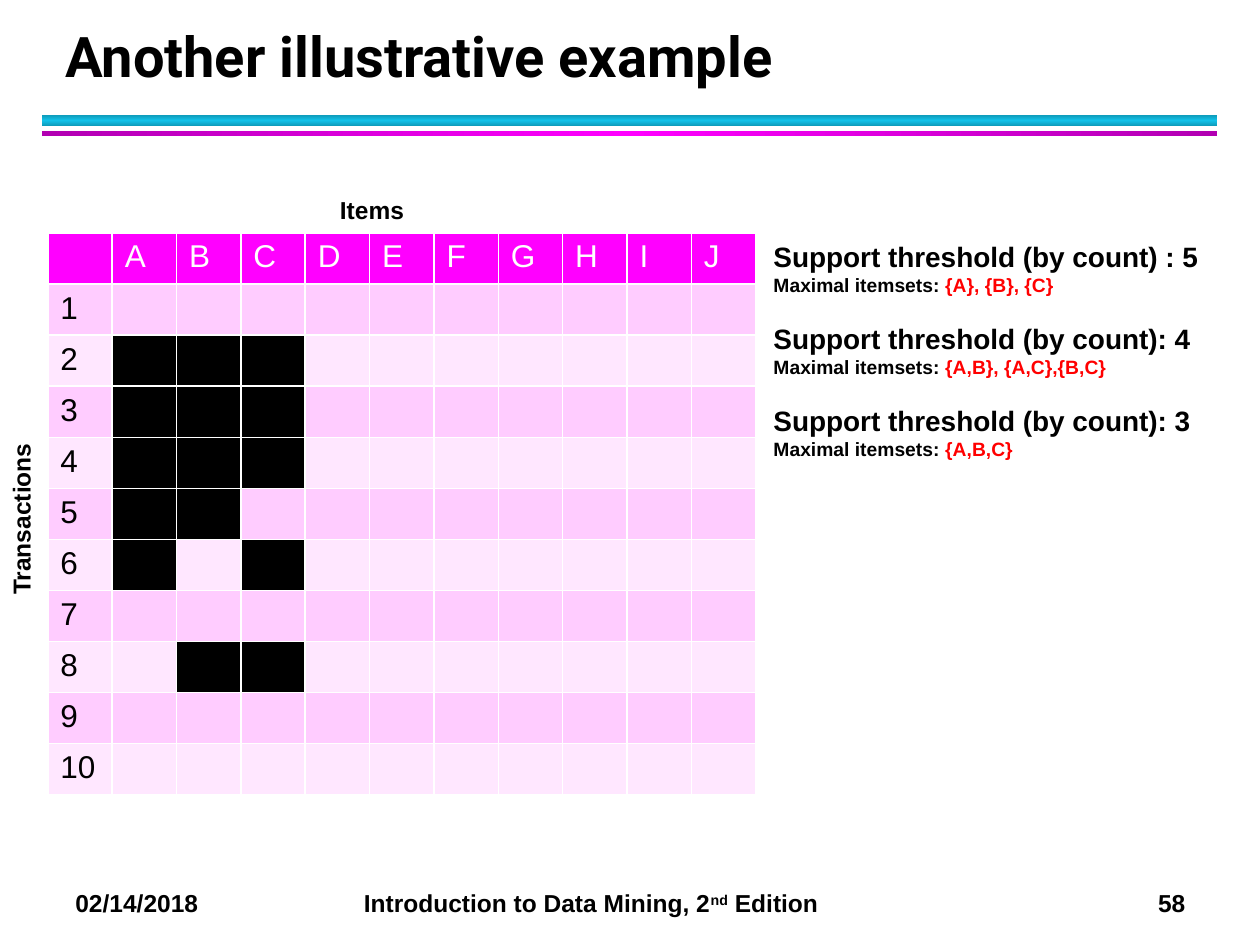
from copy import deepcopy
from dataclasses import dataclass

from lxml.etree import SubElement
from pptx import Presentation
from pptx.dml.color import RGBColor
from pptx.enum.shapes import MSO_SHAPE
from pptx.enum.text import MSO_ANCHOR
from pptx.oxml.ns import qn
from pptx.util import Inches, Pt

COLS, ROWS = 100, 75
CELL = Inches(0.1)


@dataclass(frozen=True)
class Theme:
    body: str = "Arial"
    heading: str = "Roboto"
    black: str = "000000"
    white: str = "FFFFFF"
    red: str = "FF0000"
    magenta: str = "FF00FF"
    bands: tuple = ("FFE7FF", "FFCCFF")
    cyan_bar: tuple = ("0E9BBA", "12C2E9", "0E9BBA")
    magenta_bar: tuple = ("B200B2", "FF00FF", "B200B2")
    title_size: int = 32
    table_size: int = 18
    support_size: int = 16
    label_size: int = 14
    detail_size: int = 11


T = Theme()


def grid(*lengths):
    return [round(n * CELL) for n in lengths]


def add_run(p, text, size, color=T.black, font=T.body, bold=True):
    r = p.add_run()
    r.text = text
    fmt = {"name": font, "size": Pt(size), "bold": bold}
    for name, value in fmt.items():
        setattr(r.font, name, value)
    r.font.color.rgb = RGBColor.from_string(color)
    return r


def add_text_box(s, box, wrap=False, anchor=MSO_ANCHOR.TOP):
    sp = s.shapes.add_textbox(*grid(*box))
    fmt = {"word_wrap": wrap, "vertical_anchor": anchor}
    for name, value in fmt.items():
        setattr(sp.text_frame, name, value)
    return sp


def add_title(s, box, text):
    p = add_text_box(s, box, True, MSO_ANCHOR.BOTTOM).text_frame.paragraphs[0]
    p.line_spacing = Pt(36)
    add_run(p, text, T.title_size, font=T.heading)


def add_rule(s, box, colors, angle):
    """Draw a bar with a three-stop gradient."""
    sp = s.shapes.add_shape(MSO_SHAPE.RECTANGLE, *grid(*box))
    sp.shadow.inherit = False
    sp.line.fill.background()
    sp.fill.gradient()
    sp.fill.gradient_angle = angle
    stops = next(sp.element.iter(qn("a:gsLst")))
    stops.insert(1, deepcopy(stops[0]))
    for i, (stop, color) in enumerate(zip(sp.fill.gradient_stops, colors)):
        stop.position = i / 2
        stop.color.rgb = RGBColor.from_string(color)


def add_label(s, box, text, rotation=0):
    sp = add_text_box(s, box)
    sp.rotation = rotation
    add_run(sp.text_frame.paragraphs[0], text, T.label_size)


def style_cell(cell, fill):
    cell.fill.solid()
    cell.fill.fore_color.rgb = RGBColor.from_string(fill)
    tcPr = cell._tc.get_or_add_tcPr()
    for i, side in enumerate(("lnL", "lnR", "lnT", "lnB")):
        ln = tcPr.makeelement(qn(f"a:{side}"), {"w": str(Pt(1))})
        SubElement(SubElement(ln, qn("a:solidFill")), qn("a:srgbClr"), val=T.white)
        tcPr.insert(i, ln)


def add_transactions(s, box, items, transactions):
    """Table with a black cell wherever a transaction holds an item."""
    n_rows, n_cols = len(transactions) + 1, len(items) + 1
    left, top, width, height = grid(*box)
    table = s.shapes.add_table(n_rows, n_cols, left, top, width, height).table
    for col in table.columns:
        col.width = width // n_cols
    for row in table.rows:
        row.height = height // n_rows
    for i in range(n_rows):
        for j in range(n_cols):
            cell = table.cell(i, j)
            text, color = "", T.black
            if i == 0:
                fill, color = T.magenta, T.white
                text = items[j - 1] if j else ""
            elif j == 0:
                fill, text = T.bands[i % 2], str(i)
            else:
                held = items[j - 1] in transactions[i - 1]
                fill = T.black if held else T.bands[i % 2]
            style_cell(cell, fill)
            if text:
                add_run(cell.text_frame.paragraphs[0], text, T.table_size,
                        color, bold=False)


def add_support(s, box, results):
    tf = add_text_box(s, box).text_frame
    for i, (threshold, itemsets) in enumerate(results):
        p = tf.add_paragraph() if i else tf.paragraphs[0]
        if i:
            p.space_before = Pt(14.5)
        add_run(p, threshold, T.support_size)
        p = tf.add_paragraph()
        add_run(p, "Maximal itemsets: ", T.detail_size)
        add_run(p, itemsets, T.detail_size, T.red)


def add_footer(s, box, date, number):
    p = add_text_box(s, box, True).text_frame.paragraphs[0]
    tabs = SubElement(p._p.get_or_add_pPr(), qn("a:tabLst"))
    for position, align in ((22.9, "l"), (88.1, "r")):
        SubElement(tabs, qn("a:tab"), pos=str(grid(position)[0]), algn=align)
    add_run(p, f"{date}\tIntroduction to Data Mining, 2", T.label_size)
    ordinal = add_run(p, "nd", T.label_size)
    ordinal.font._rPr.set("baseline", "30000")
    add_run(p, f" Edition\t{number}", T.label_size)


def main():
    prs = Presentation()
    prs.slide_width, prs.slide_height = grid(COLS, ROWS)
    s = prs.slides.add_slide(prs.slide_layouts[6])
    add_rule(s, (3.3, 9.15, 93.3, 0.85), T.cyan_bar, 90)
    add_rule(s, (3.3, 10.4, 93.3, 0.4), T.magenta_bar, 0)
    add_footer(s, (5, 70, 93.3, 3.4), "02/14/2018", 58)
    add_title(s, (4.2, 1.7, 90.6, 5.8), "Another illustrative example")
    add_support(s, (60.4, 18.5, 36.2, 18.5), [
        ("Support threshold (by count) : 5", "{A}, {B}, {C}"),
        ("Support threshold (by count): 4", "{A,B}, {A,C},{B,C}"),
        ("Support threshold (by count): 3", "{A,B,C}"),
    ])
    add_transactions(s, (3.8, 18.5, 56.2, 44.6), "ABCDEFGHIJ",
                     ["", "ABC", "ABC", "ABC", "AB", "AC", "", "BC", "", ""])
    add_label(s, (-5.4, 38.8, 14.8, 4), "Transactions", 270)
    add_label(s, (26, 15, 7.7, 4), "Items")
    prs.save("out.pptx")


if __name__ == "__main__":
    main()
